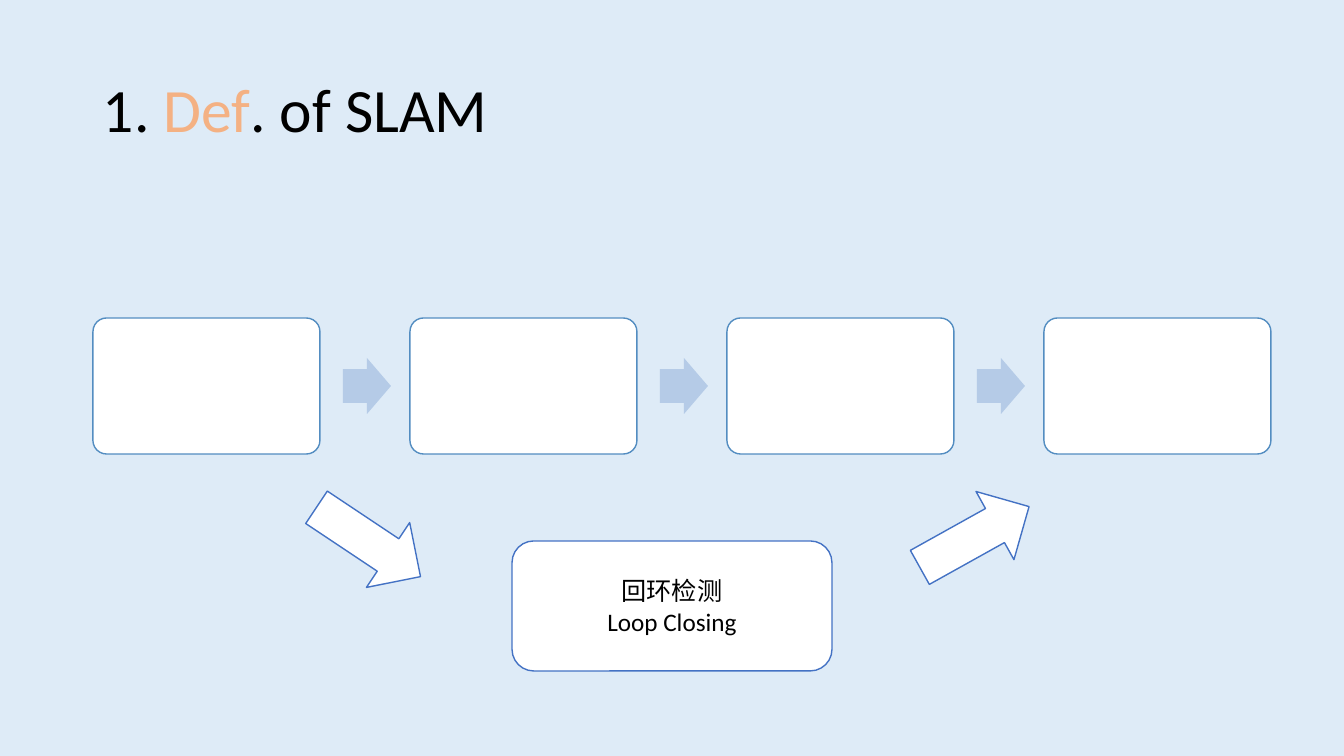
import pptx
import pptx.util
import pptx.dml.color
import pptx.enum.shapes
import pptx.enum.text

# Content
TITLE = [("1. ", "000000"), ("Def", "F4B183"), (". of SLAM", "000000")]
LOOP_LABEL = ["回环检测", "Loop Closing"]
FONT = "Calibri"

# Layout in px
SLIDE = (1344, 756)
TITLE_BOX = (93, 40, 1159, 146)
STEPS, STEP_PITCH = 4, 317
STEP_BOX = (93, 318, 227, 136)
STEP_ARROW = (343, 358, 48, 56)
LOOP_BOX = (512, 541, 320, 130)
LOOP_ARROWS = [((306, 503, 125, 78), 33.7), ((912, 498, 125, 78), 330.9)]

SHAPE = pptx.enum.shapes.MSO_SHAPE
MIDDLE = pptx.enum.text.MSO_ANCHOR.MIDDLE


def px(n):
    return round(n * 914400 / 100.8)


def color(value):
    return pptx.dml.color.RGBColor.from_string(value)


def add_shape(kind, box, fill, line=None, adjust=(), rotation=0):
    s = slide.shapes.add_shape(kind, *map(px, box))
    s.shadow.inherit = False
    s.fill.solid()
    s.fill.fore_color.rgb = color(fill)
    if line:
        s.line.color.rgb = color(line)
        s.line.width = pptx.util.Pt(1)
    else:
        s.line.fill.background()
    for i, value in enumerate(adjust):
        s.adjustments[i] = value
    s.rotation = rotation
    return s


prs = pptx.Presentation()
prs.slide_width, prs.slide_height = map(px, SLIDE)
slide = prs.slides.add_slide(prs.slide_layouts[6])
slide.background.fill.solid()
slide.background.fill.fore_color.rgb = color("DEEBF7")

# Title
tf = slide.shapes.add_textbox(*map(px, TITLE_BOX)).text_frame
tf.word_wrap = True
tf.vertical_anchor = MIDDLE
p = tf.paragraphs[0]
p.line_spacing = 0.9
p.font.name = FONT
p.font.size = pptx.util.Pt(44)
for text, rgb in TITLE:
    r = p.add_run()
    r.text = text
    r.font.color.rgb = color(rgb)

# Row of steps with an arrow between neighbours
for i in range(STEPS):
    shift = i * STEP_PITCH
    x, *rest = STEP_BOX
    add_shape(SHAPE.ROUNDED_RECTANGLE, (x + shift, *rest), "FFFFFF", "538DC1", [0.1])
    if i < STEPS - 1:
        x, *rest = STEP_ARROW
        add_shape(SHAPE.RIGHT_ARROW, (x + shift, *rest), "B5CBE7", adjust=[0.6, 0.5])

# Loop closing box
tf = add_shape(SHAPE.ROUNDED_RECTANGLE, LOOP_BOX, "FFFFFF", "4472C4").text_frame
tf.word_wrap = True
tf.vertical_anchor = MIDDLE
for i, text in enumerate(LOOP_LABEL):
    p = tf.paragraphs[0] if i == 0 else tf.add_paragraph()
    p.text = text
    p.alignment = pptx.enum.text.PP_ALIGN.CENTER
    p.font.name = FONT
    p.font.size = pptx.util.Pt(18)
    p.font.color.rgb = color("000000")

# Arrows into and out of the loop
for box, angle in LOOP_ARROWS:
    add_shape(SHAPE.RIGHT_ARROW, box, "FFFFFF", "4472C4", rotation=angle)

prs.save("out.pptx")
